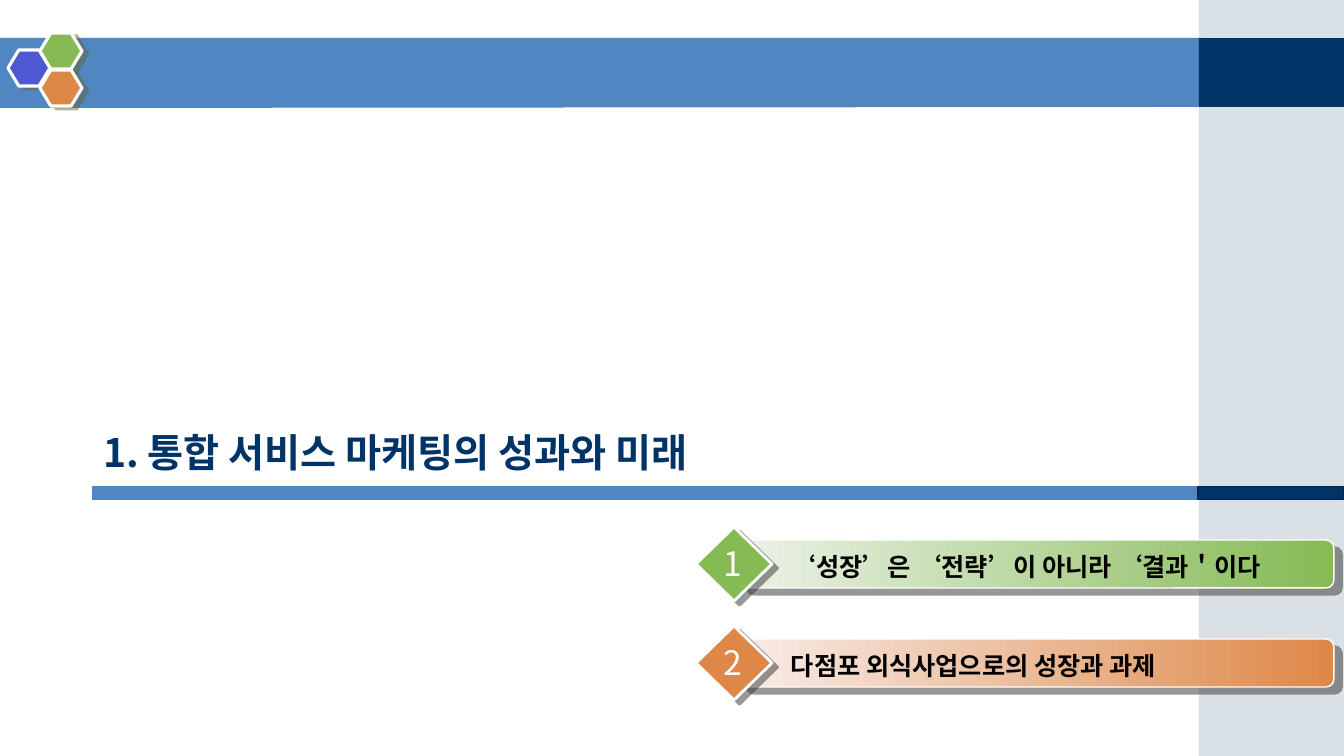
from lxml import etree
from pptx import Presentation
from pptx.dml.color import RGBColor
from pptx.enum.shapes import MSO_SHAPE as SHAPE
from pptx.enum.text import MSO_ANCHOR as ANCHOR, MSO_AUTO_SIZE as AUTO, PP_ALIGN as ALIGN
from pptx.oxml.ns import qn
from pptx.util import Emu, Pt

COLORS = {
    "blue": "5086C2", "navy": "003366", "navy_edge": "00264D", "mist": "A0B5C4",
    "violet": "4C59D2", "green": "85BA54", "orange": "DE8848",
    "pale_green": "ECF2E8", "pale_orange": "F8ECE7",
    "white": "FFFFFF", "black": "000000", "olive": "666633", "charcoal": "333333",
}
FONT = "Noto Sans CJK KR"
HEADING = "1. 통합 서비스 마케팅의 성과와 미래"
TOPICS = [
    ("1", "‘성장’은 ‘전략’이 아니라 ‘결과＇이다", "pale_green", "green"),
    ("2", "다점포 외식사업으로의 성장과 과제", "pale_orange", "orange"),
]
HEXAGONS = [(8, 50, "violet"), (40, 33, "green"), (40, 70, "orange")]
HEADER_OUTLINE = [(0, 38), (1204, 38), (1203, 107), (0, 108)]
TOPIC_TOP, TOPIC_PITCH = 527, 99
EMU_PER_PX = 914400 / 100.8


def px(length):
    return Emu(round(length * EMU_PER_PX))


def rgb(name):
    return RGBColor.from_string(COLORS[name])


def child(parent, tag, **attributes):
    return etree.SubElement(parent, qn(tag), {k: str(v) for k, v in attributes.items()})


def paint(shape, fill=None, line=None, width=0.75):
    shape.shadow.inherit = False
    if fill:
        shape.fill.solid()
        shape.fill.fore_color.rgb = rgb(fill)
    if line:
        shape.line.color.rgb = rgb(line)
        shape.line.width = Pt(width)
    else:
        shape.line.fill.background()


def add_block(kind, box, fill=None, line=None, width=0.75):
    block = slide.shapes.add_shape(kind, *map(px, box))
    paint(block, fill, line, width)
    return block


def cast_shadow(shape, color, distance, angle):
    effects = shape._element.spPr.find(qn("a:effectLst"))
    outer = child(effects, "a:outerShdw", dist=Pt(distance), dir=angle * 60000,
                  algn="ctr", rotWithShape=0)
    child(child(outer, "a:srgbClr", val=COLORS[color]), "a:alpha", val=50000)


def write(shape, text, size, color, bold=False, align=ALIGN.LEFT, wrap=True):
    frame = shape.text_frame
    frame.word_wrap = wrap
    frame.text = text
    paragraph = frame.paragraphs[0]
    paragraph.alignment = align
    font = paragraph.font
    font.size, font.bold, font.name = Pt(size), bold, FONT
    font.color.rgb = rgb(color)
    child(paragraph._p.pPr.find(qn("a:defRPr")), "a:ea", typeface=FONT)


def add_text(box, *args, **options):
    write(slide.shapes.add_textbox(*map(px, box)), *args, **options)


def add_topic(top, number, text, pale, color):
    bar = add_block(SHAPE.ROUNDED_RECTANGLE, (738, top + 13, 596, 48), None, "white", 1)
    bar.adjustments[0] = 0.167
    bar.fill.gradient()
    bar.fill.gradient_angle = 0
    for stop, name, position in zip(bar.fill.gradient_stops, (pale, color), (0, 1)):
        stop.color.rgb = rgb(name)
        stop.position = position
    cast_shadow(bar, "charcoal", 7.8, 40)
    badge = add_block(SHAPE.DIAMOND, (696, top, 76, 74), color, "white", 2)
    cast_shadow(badge, "charcoal", 5, 37)
    add_text((781, top + 19, 596, 40), text, 18, "black", bold=True)
    add_text((714, top + 11, 37, 49), number, 24, "white", align=ALIGN.CENTER, wrap=False)


deck = Presentation()
deck.slide_width, deck.slide_height = px(1344), px(756)
slide = deck.slides.add_slide(deck.slide_layouts[5])

builder = slide.shapes.build_freeform(*HEADER_OUTLINE[0], scale=EMU_PER_PX)
builder.add_line_segments(HEADER_OUTLINE[1:], close=True)
paint(builder.convert_to_shape(), "blue")

side_band = add_block(SHAPE.RECTANGLE, (1199, 0, 145, 756), "mist")
side_color = side_band._element.spPr.find(qn("a:solidFill")).find(qn("a:srgbClr"))
child(side_color, "a:alpha", val=40000)
add_block(SHAPE.RECTANGLE, (1199, 38, 145, 69), "navy")

for left, top, color in HEXAGONS:
    hexagon = add_block(SHAPE.HEXAGON, (left, top, 42, 36), color, "white", 2.25)
    hexagon.adjustments[0] = 0.3
    cast_shadow(hexagon, "olive", 4.5, 27)

heading = slide.shapes.title
heading.left, heading.top, heading.width, heading.height = map(px, (93, 315, 1159, 165))
write(heading, HEADING, 28, "navy", bold=True)
heading.text_frame.vertical_anchor = ANCHOR.BOTTOM
heading.text_frame.auto_size = AUTO.NONE

add_block(SHAPE.RECTANGLE, (93, 487, 1106, 13), "blue", "blue")
add_block(SHAPE.RECTANGLE, (1198, 487, 146, 13), "navy", "navy_edge")

for row, topic in enumerate(TOPICS):
    add_topic(TOPIC_TOP + row * TOPIC_PITCH, *topic)

deck.save("out.pptx")
